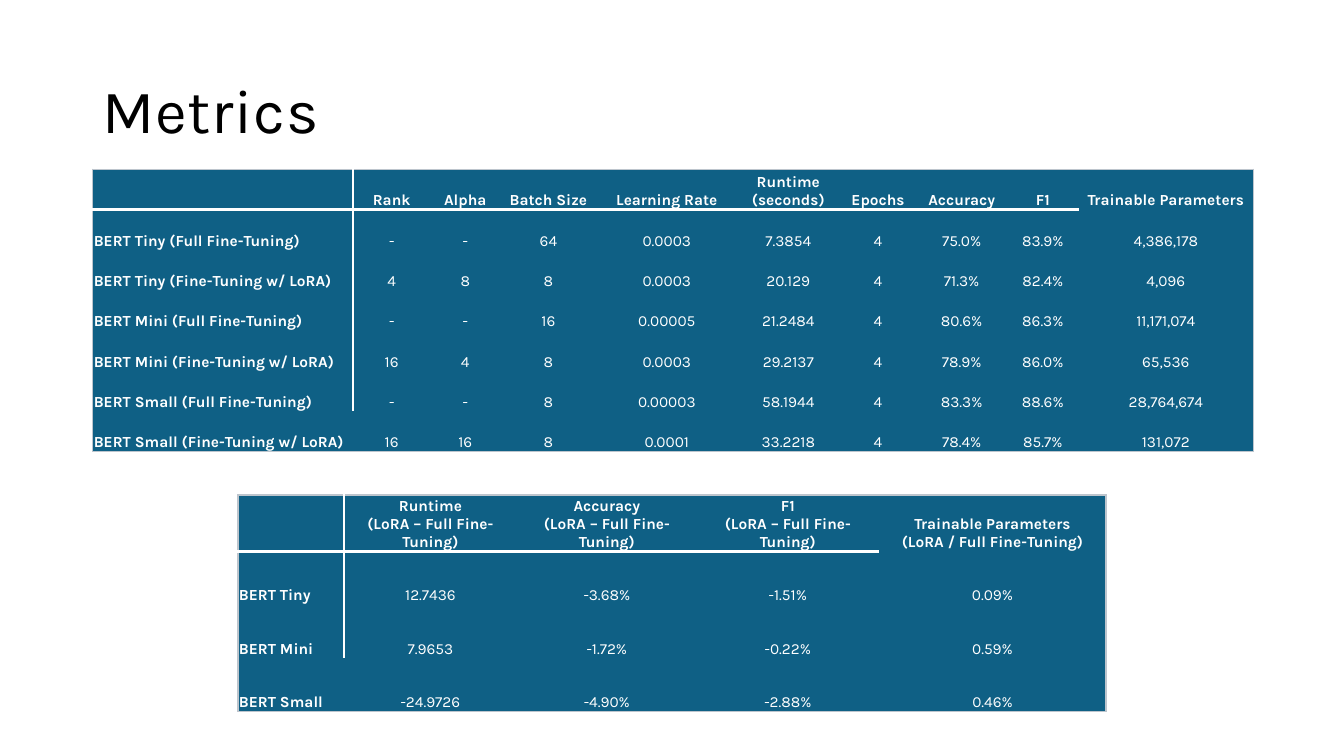
"""Build the Metrics slide with its two result tables."""
from dataclasses import dataclass

from lxml import etree
from pptx import Presentation
from pptx.dml.color import RGBColor
from pptx.enum.text import MSO_ANCHOR, PP_ALIGN
from pptx.oxml.ns import qn
from pptx.util import Inches, Pt

LEFT, CENTER = PP_ALIGN.LEFT, PP_ALIGN.CENTER
MIDDLE, BOTTOM = MSO_ANCHOR.MIDDLE, MSO_ANCHOR.BOTTOM
PLAIN = "{2D5ABB26-0587-4C30-8999-92F81FD0307C}"

TITLE = "Metrics"

GAINS = {
    "at": (2.36, 4.91),
    "cols": [1.05, 1.72, 1.78, 1.81, 2.25],
    "high": 0.53,
    "rows": [
        ["", "Runtime\n(LoRA – Full Fine-Tuning)", "Accuracy\n(LoRA – Full Fine-Tuning)",
         "F1\n(LoRA – Full Fine-Tuning)", "Trainable Parameters\n(LoRA / Full Fine-Tuning)"],
        ["BERT Tiny", "12.7436", "-3.68%", "-1.51%", "0.09%"],
        ["BERT Mini", "7.9653", "-1.72%", "-0.22%", "0.59%"],
        ["BERT Small", "-24.9726", "-4.90%", "-2.88%", "0.46%"],
    ],
}

RUNS = {
    "at": (0.92, 1.68),
    "cols": [2.58, 0.77, 0.69, 0.96, 1.39, 1.02, 0.76, 0.9, 0.71, 1.73],
    "high": 0.4,
    "rows": [
        ["", "Rank", "Alpha", "Batch Size", "Learning Rate", "Runtime (seconds)",
         "Epochs", "Accuracy", "F1", "Trainable Parameters"],
        ["BERT Tiny (Full Fine-Tuning)", "-", "-", "64", "0.0003", "7.3854",
         "4", "75.0%", "83.9%", "4,386,178"],
        ["BERT Tiny (Fine-Tuning w/ LoRA)", "4", "8", "8", "0.0003", "20.129",
         "4", "71.3%", "82.4%", "4,096"],
        ["BERT Mini (Full Fine-Tuning)", "-", "-", "16", "0.00005", "21.2484",
         "4", "80.6%", "86.3%", "11,171,074"],
        ["BERT Mini (Fine-Tuning w/ LoRA)", "16", "4", "8", "0.0003", "29.2137",
         "4", "78.9%", "86.0%", "65,536"],
        ["BERT Small (Full Fine-Tuning)", "-", "-", "8", "0.00003", "58.1944",
         "4", "83.3%", "88.6%", "28,764,674"],
        ["BERT Small (Fine-Tuning w/ LoRA)", "16", "16", "8", "0.0001", "33.2218",
         "4", "78.4%", "85.7%", "131,072"],
    ],
}


@dataclass(frozen=True)
class Theme:
    """Colours, font and type sizes."""
    font: str = "Karla"
    ink: str = "000000"
    fill: str = "0F6085"
    light: str = "FFFFFF"
    edge: str = "BDC5CD"
    head: int = 44
    body: int = 11


THEME = Theme()


def add_run(para, text, size, color, bold=False):
    """Add one styled run."""
    run = para.add_run()
    run.text = text
    font = run.font
    font.name, font.size, font.bold = THEME.font, Pt(size), bold
    font.color.rgb = RGBColor.from_string(color)
    return run


def add_title(slide):
    """Place the slide title."""
    box = slide.shapes.add_textbox(Inches(0.92), Inches(0.4), Inches(11.5), Inches(1.45))
    frame = box.text_frame
    frame.word_wrap = True
    frame.vertical_anchor = MIDDLE
    para = frame.paragraphs[0]
    para.line_spacing = 0.9
    run = add_run(para, TITLE, THEME.head, THEME.ink)
    run.font.fill.solid()
    run.font.color.rgb = RGBColor.from_string(THEME.ink)
    para.runs[0].font._element.set("spc", "50")


def sides(row, col, last, end):
    """Return the border lines of a cell in schema order."""
    edge, rule, bar = (THEME.edge, 1), (THEME.light, 2), (THEME.light, 1.5)
    lines = {}
    if col == 0:
        lines["lnL"] = edge
        if row < last:
            lines["lnR"] = bar
    if col == end:
        lines["lnR"] = edge
    if row == 0:
        lines["lnT"] = edge
        if col < end:
            lines["lnB"] = rule
    if row == last:
        lines["lnB"] = edge
    return lines


def set_lines(props, lines):
    """Write border lines ahead of the cell fill."""
    for spot, (side, (color, width)) in enumerate(lines.items()):
        line = etree.Element(qn("a:" + side), w=str(Pt(width)))
        fill = etree.SubElement(line, qn("a:solidFill"))
        etree.SubElement(fill, qn("a:srgbClr"), val=color)
        props.insert(spot, line)


def fill_cell(cell, text, row, col):
    """Style a cell and write its text."""
    cell.fill.solid()
    cell.fill.fore_color.rgb = RGBColor.from_string(THEME.fill)
    cell.margin_left = cell.margin_right = cell.margin_top = Inches(0.01)
    cell.margin_bottom = 0
    cell.vertical_anchor = BOTTOM
    frame = cell.text_frame
    for part, words in enumerate(text.split("\n")):
        para = frame.add_paragraph() if part else frame.paragraphs[0]
        para.alignment = CENTER if col else LEFT
        para.font.size = Pt(THEME.body)
        if words:
            add_run(para, words, THEME.body, THEME.light, row == 0 or col == 0)


def add_grid(slide, data):
    """Add one table from its data."""
    rows, cols, high = data["rows"], data["cols"], data["high"]
    left, top = data["at"]
    frame = slide.shapes.add_table(
        len(rows), len(cols), Inches(left), Inches(top),
        Inches(sum(cols)), Inches(high * len(rows)))
    table = frame.table
    table.first_row = table.horz_banding = False
    next(frame.element.iter(qn("a:tableStyleId"))).text = PLAIN
    for col, wide in enumerate(cols):
        table.columns[col].width = Inches(wide)
    for row, texts in enumerate(rows):
        table.rows[row].height = Inches(high)
        for col, text in enumerate(texts):
            fill_cell(table.cell(row, col), text, row, col)
    for spot, props in enumerate(frame.element.iter(qn("a:tcPr"))):
        row, col = divmod(spot, len(cols))
        set_lines(props, sides(row, col, len(rows) - 1, len(cols) - 1))


def main():
    """Build and save the slide."""
    deck = Presentation()
    deck.slide_width, deck.slide_height = Inches(13.33), Inches(7.5)
    slide = deck.slides.add_slide(deck.slide_layouts[6])
    add_title(slide)
    for data in (GAINS, RUNS):
        add_grid(slide, data)
    deck.save("out.pptx")


if __name__ == "__main__":
    main()
